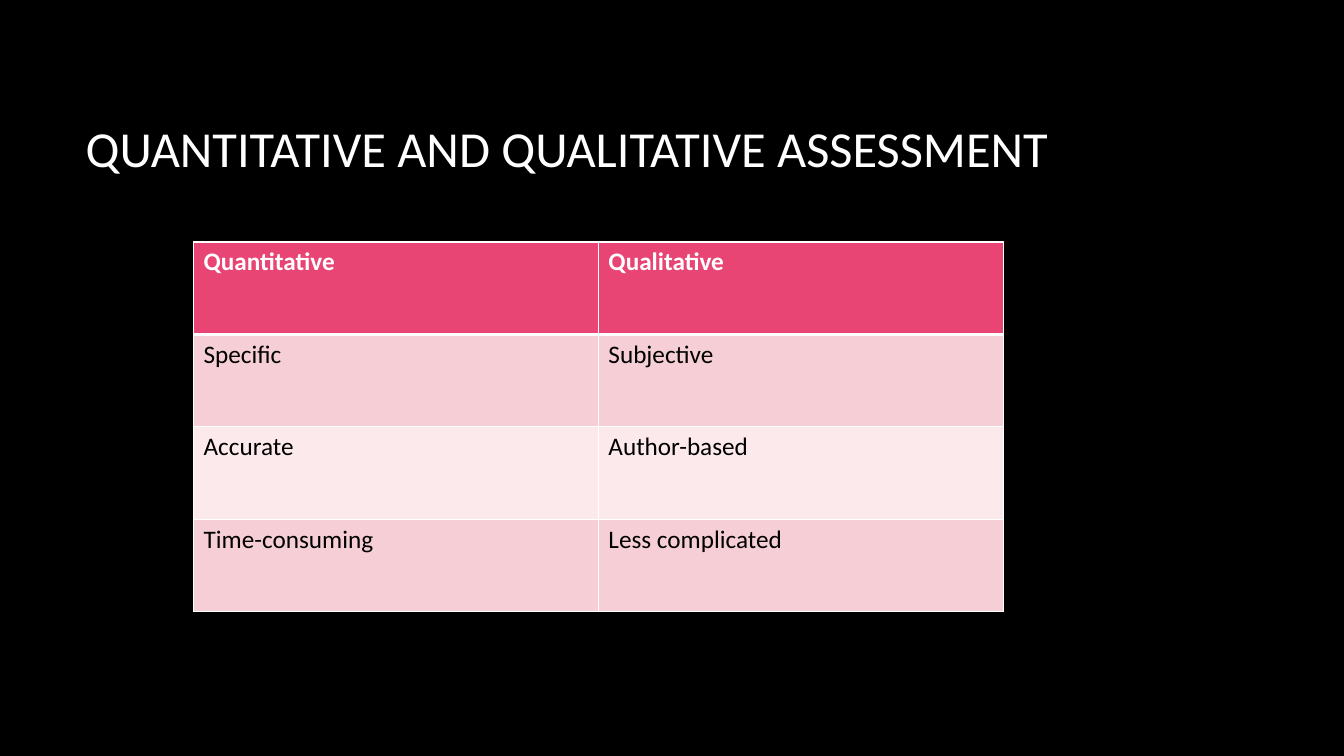
"""Build the slide that contrasts quantitative and qualitative assessment."""
from dataclasses import dataclass

from lxml import etree
from pptx import Presentation
from pptx.dml.color import RGBColor
from pptx.enum.text import MSO_ANCHOR, PP_ALIGN
from pptx.oxml.ns import qn
from pptx.slide import Slide
from pptx.table import _Cell
from pptx.util import Inches, Pt

LEFT = PP_ALIGN.LEFT
MIDDLE = MSO_ANCHOR.MIDDLE

BLACK = RGBColor(0x00, 0x00, 0x00)
WHITE = RGBColor(0xFF, 0xFF, 0xFF)
PINK = RGBColor(0xE8, 0x45, 0x74)
ROSE = RGBColor(0xF6, 0xCF, 0xD6)
BLUSH = RGBColor(0xFB, 0xE9, 0xEB)

FONT = "Calibri"
THIN = Pt(1)
THICK = Pt(3)


@dataclass(frozen=True)
class ComparisonRow:
    """One table row with its look."""

    quantitative: str
    qualitative: str
    fill: RGBColor
    color: RGBColor = BLACK
    bold: bool = False
    top: int = THIN
    bottom: int = THIN


ROWS = (
    ComparisonRow("Quantitative", "Qualitative", PINK, WHITE, bold=True, bottom=THICK),
    ComparisonRow("Specific", "Subjective", ROSE, top=THICK),
    ComparisonRow("Accurate", "Author-based", BLUSH),
    ComparisonRow("Time-consuming", "Less complicated", ROSE),
)


def add_title(slide: Slide) -> None:
    """Place and format the title placeholder."""
    title = slide.shapes.title
    title.left, title.top = Inches(0.75), Inches(0.67)
    title.width, title.height = Inches(11.08), Inches(1.59)
    frame = title.text_frame
    frame.text = "QUANTITATIVE AND QUALITATIVE ASSESSMENT"
    frame.vertical_anchor = MIDDLE
    paragraph = frame.paragraphs[0]
    paragraph.alignment = LEFT
    paragraph.font.name = FONT
    paragraph.font.size = Pt(36)
    paragraph.font.color.rgb = WHITE


def set_borders(cell: _Cell, top: int, bottom: int) -> None:
    """Draw white lines on all four sides of a cell."""
    properties = cell._tc.get_or_add_tcPr()
    sides = {"a:lnL": THIN, "a:lnR": THIN, "a:lnT": top, "a:lnB": bottom}
    for tag, width in sides.items():
        line = etree.SubElement(properties, qn(tag), w=str(int(width)))
        fill = etree.SubElement(line, qn("a:solidFill"))
        etree.SubElement(fill, qn("a:srgbClr"), val=str(WHITE))


def format_cell(cell: _Cell, text: str, row: ComparisonRow) -> None:
    """Write a cell and give it the look of its row."""
    set_borders(cell, row.top, row.bottom)
    cell.fill.solid()
    cell.fill.fore_color.rgb = row.fill
    cell.text = text
    font = cell.text_frame.paragraphs[0].font
    font.name = FONT
    font.size = Pt(18)
    font.bold = row.bold
    font.color.rgb = row.color


def add_comparison(slide: Slide) -> None:
    """Add the two-column comparison table."""
    table = slide.shapes.add_table(
        len(ROWS), 2, Inches(1.92), Inches(2.4), Inches(8.03), Inches(3.67)
    ).table
    for index, row in enumerate(ROWS):
        for column, text in enumerate((row.quantitative, row.qualitative)):
            format_cell(table.cell(index, column), text, row)


def main() -> None:
    """Create and save the presentation."""
    presentation = Presentation()
    presentation.slide_width = Inches(13.33)
    presentation.slide_height = Inches(7.5)
    slide = presentation.slides.add_slide(presentation.slide_layouts[5])
    slide.background.fill.solid()
    slide.background.fill.fore_color.rgb = BLACK
    add_title(slide)
    add_comparison(slide)
    presentation.save("out.pptx")


if __name__ == "__main__":
    main()
